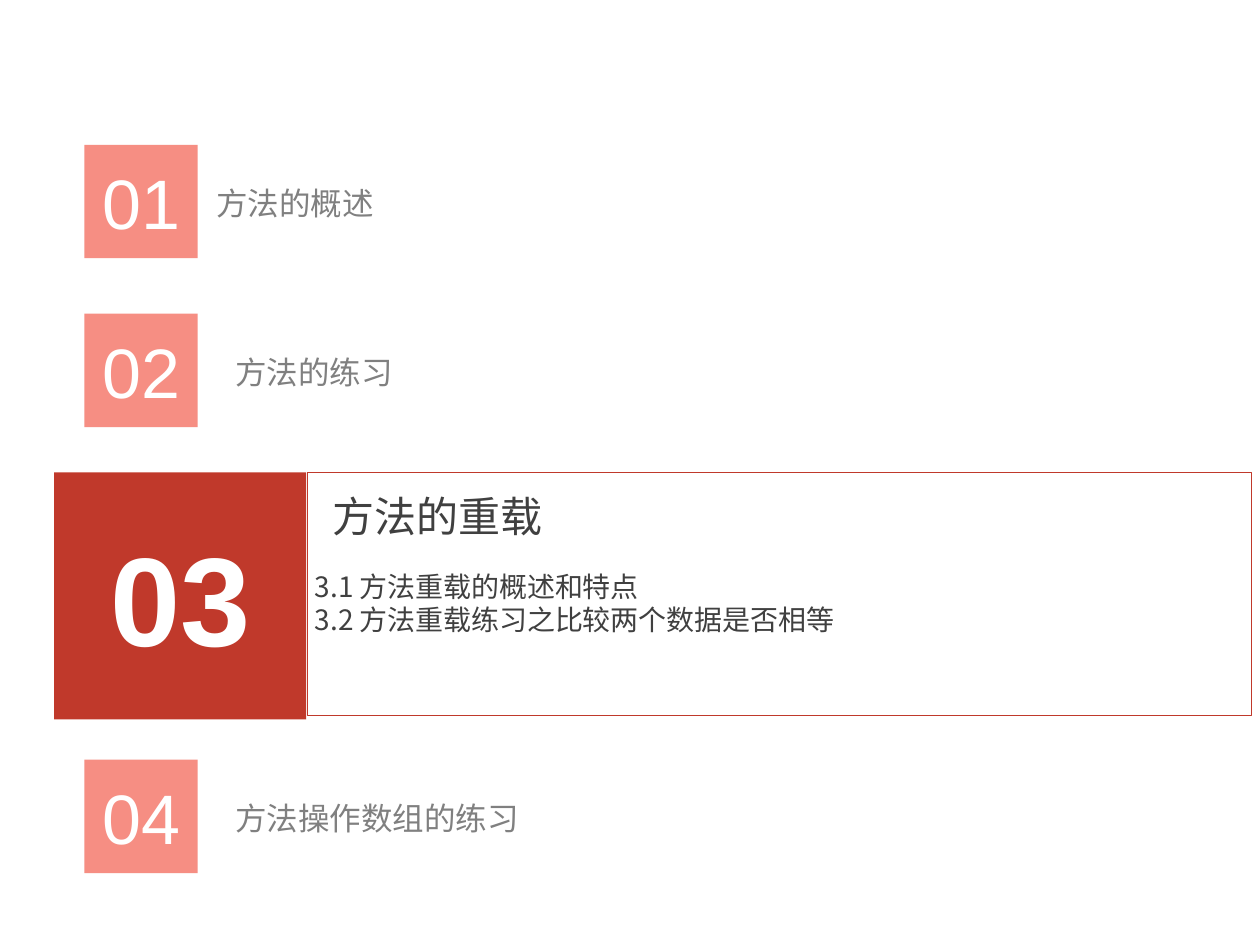
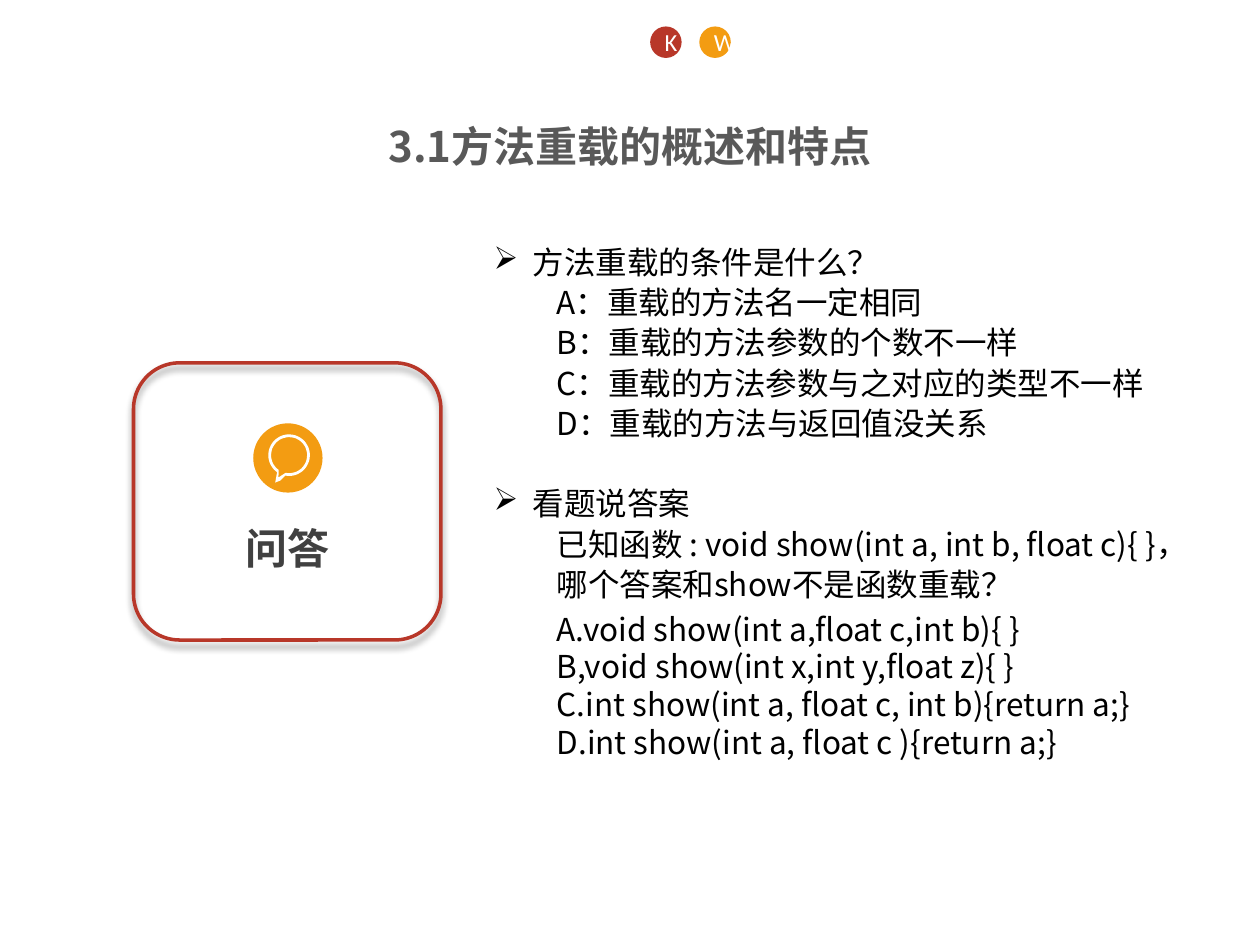
from dataclasses import dataclass
from math import cos, radians, sin

from lxml.etree import SubElement
from pptx import Presentation
from pptx.dml.color import RGBColor
from pptx.enum.shapes import MSO_SHAPE as Preset
from pptx.enum.text import MSO_ANCHOR as Anchor, PP_ALIGN as Align
from pptx.oxml.ns import qn
from pptx.util import Inches, Pt


@dataclass(frozen=True)
class Theme:
    red: str = "C0392B"
    deep_red: str = "B83729"
    salmon: str = "F47264"
    orange: str = "F39C12"
    white: str = "FFFFFF"
    black: str = "000000"
    dark: str = "404040"
    title_gray: str = "595959"
    label_gray: str = "808080"
    chinese: str = "Noto Sans CJK SC"
    numeral: str = "Arial"
    badge: str = "Calibri"
    huge: int = 72
    number: int = 40
    title: int = 24
    body: int = 18
    detail: int = 16
    small: int = 14
    line_share: float = 1.2


theme = Theme()
presentation = Presentation()
presentation.slide_width, presentation.slide_height = Inches(10), Inches(7.5)
column = presentation.slide_width / 100
row = presentation.slide_height / 75


def add_figure(slide, preset, left, top, width, height, fill=None, line=None, line_width=1):
    shape = slide.shapes.add_shape(
        preset, round(left * column), round(top * row), round(width * column), round(height * row))
    shape.shadow.inherit = False
    if fill:
        shape.fill.solid()
        shape.fill.fore_color.rgb = RGBColor.from_string(fill)
    else:
        shape.fill.background()
    if line:
        shape.line.color.rgb = RGBColor.from_string(line)
        shape.line.width = Pt(line_width)
    else:
        shape.line.fill.background()
    return shape


def write(shape, text, size, color, font=theme.chinese, bold=False,
          align=Align.LEFT, anchor=Anchor.TOP, spacing=None):
    frame = shape.text_frame
    frame.word_wrap = True
    frame.vertical_anchor = anchor
    frame.text = text
    for paragraph in frame.paragraphs:
        paragraph.alignment = align
        paragraph.line_spacing = spacing
        for run in paragraph.runs:
            run.font.size, run.font.bold, run.font.name = Pt(size), bold, font
            run.font.color.rgb = RGBColor.from_string(color)
            SubElement(run.font._element, qn("a:ea")).set("typeface", font)


blank = presentation.slide_layouts[6]
agenda = presentation.slides.add_slide(blank)

current = add_figure(agenda, Preset.RECTANGLE, 4.3, 37.5, 20, 19.6, theme.red)
write(current, "03", theme.huge, theme.white, theme.numeral, True, Align.CENTER, Anchor.MIDDLE)
add_figure(agenda, Preset.RECTANGLE, 24.4, 37.5, 74.9, 19.3, line=theme.red, line_width=0.5)

chapters = [
    ("01", "方法的概述", 11.5, 16.2),
    ("02", "方法的练习", 24.9, 17.7),
    ("04", "方法操作数组的练习", 60.3, 17.7),
]
labels = [
    ("方法的重载", 25.4, 38.4, 40, theme.title, theme.dark),
    ("3.1 方法重载的概述和特点\n3.2 方法重载练习之比较两个数据是否相等", 24, 44.7, 74, theme.detail, theme.dark),
]
for number, name, top, label_left in chapters:
    square = add_figure(agenda, Preset.RECTANGLE, 6.7, top, 9, 9, theme.salmon)
    color_element = square.fill._xPr.find(qn("a:solidFill"))[0]
    SubElement(color_element, qn("a:alpha")).set("val", "80000")
    write(square, number, theme.number, theme.white, theme.numeral,
          align=Align.CENTER, anchor=Anchor.MIDDLE)
    labels.append((name, label_left, top + 2.6, 30, theme.body, theme.label_gray))

for text, left, top, width, size, color in labels:
    label = agenda.shapes.add_textbox(
        round(left * column), round(top * row), round(width * column), round(7 * row))
    write(label, text, size, color, spacing=Pt(size * theme.line_share))

quiz = presentation.slides.add_slide(blank)

questions = [
    ("方法重载的条件是什么？", "question"),
    ("A：重载的方法名一定相同", "choice"),
    ("B：重载的方法参数的个数不一样", "choice"),
    ("C：重载的方法参数与之对应的类型不一样", "choice"),
    ("D：重载的方法与返回值没关系", "choice"),
    ("看题说答案", "question"),
    ("已知函数 : void show(int a, int b, float c){ }，", "choice"),
    ("哪个答案和show不是函数重载？", "choice"),
    ("A.void show(int a,float c,int b){ }", "code"),
    ("B,void show(int x,int y,float z){ }", "code"),
    ("C.int show(int a, float c, int b){return a;}", "code"),
    ("D.int show(int a, float c ){return a;}", "code"),
]
body = quiz.shapes.add_textbox(
    round(38.2 * column), round(18.6 * row), round(63.4 * column), round(46 * row))
write(body, "\n".join(text for text, role in questions), theme.body, theme.black, spacing=Pt(23))
previous = None
for paragraph, (text, role) in zip(body.text_frame.paragraphs, questions):
    properties = paragraph._p.get_or_add_pPr()
    if role == "question":
        properties.set("marL", str(Inches(0.31)))
        properties.set("indent", str(-Inches(0.31)))
        if previous:
            paragraph.space_before = Pt(23)
        SubElement(properties, qn("a:buChar")).set("char", "➢")
    else:
        paragraph.level = 1
        properties.set("marL", str(Inches(0.5)))
        properties.set("indent", "0")
    if role == "code":
        paragraph.line_spacing = Pt(theme.body * theme.line_share)
        if previous != "code":
            paragraph.space_before = Pt(4)
    previous = role

card = add_figure(quiz, Preset.ROUNDED_RECTANGLE, 10.6, 28.8, 24.4, 22,
                  line=theme.deep_red, line_width=2)
effects = card._element.spPr.find(qn("a:effectLst"))
shadow = SubElement(effects, qn("a:outerShdw"), blurRad=str(Pt(4)), dist=str(Pt(3)),
                    dir="5400000", rotWithShape="0")
shadow_color = SubElement(shadow, qn("a:srgbClr"), val=theme.black)
SubElement(shadow_color, qn("a:alpha"), val="40000")

caption = quiz.shapes.add_textbox(
    round(18.5 * column), round(41.5 * row), round(8.7 * column), round(4.5 * row))
write(caption, "问答", theme.title, theme.dark, bold=True, anchor=Anchor.MIDDLE, spacing=0.9)

add_figure(quiz, Preset.OVAL, 20.1, 33.6, 5.5, 5.5, theme.orange)
center_x, center_y = 2295, 3613
outer, inner = [
    [(center_x + radius * cos(radians(angle)), center_y + radius * sin(radians(angle)))
     for angle in range(125, 464, 6)] + tail
    for radius, tail in [(165, [(2225, 3815), (2185, 3830)]), (143, [(2210, 3790)])]
]
inner.reverse()
builder = quiz.shapes.build_freeform(*outer[0], scale=column / 100)
builder.add_line_segments(outer[1:], close=True)
builder.move_to(*inner[0])
builder.add_line_segments(inner[1:], close=True)
bubble = builder.convert_to_shape()
bubble.shadow.inherit = False
bubble.fill.solid()
bubble.fill.fore_color.rgb = RGBColor.from_string(theme.white)
bubble.line.fill.background()

for letter, left, color in [("K", 51.6, theme.deep_red), ("W", 55.5, theme.orange)]:
    badge = add_figure(quiz, Preset.OVAL, left, 2.1, 2.5, 2.5, color)
    write(badge, letter, theme.small, theme.white, theme.badge,
          align=Align.CENTER, anchor=Anchor.MIDDLE)

heading = quiz.shapes.add_textbox(
    0, round(9.2 * row), presentation.slide_width, round(4.7 * row))
write(heading, "3.1方法重载的概述和特点", theme.title, theme.title_gray, bold=True,
      align=Align.CENTER, anchor=Anchor.MIDDLE)

presentation.save("out.pptx")
